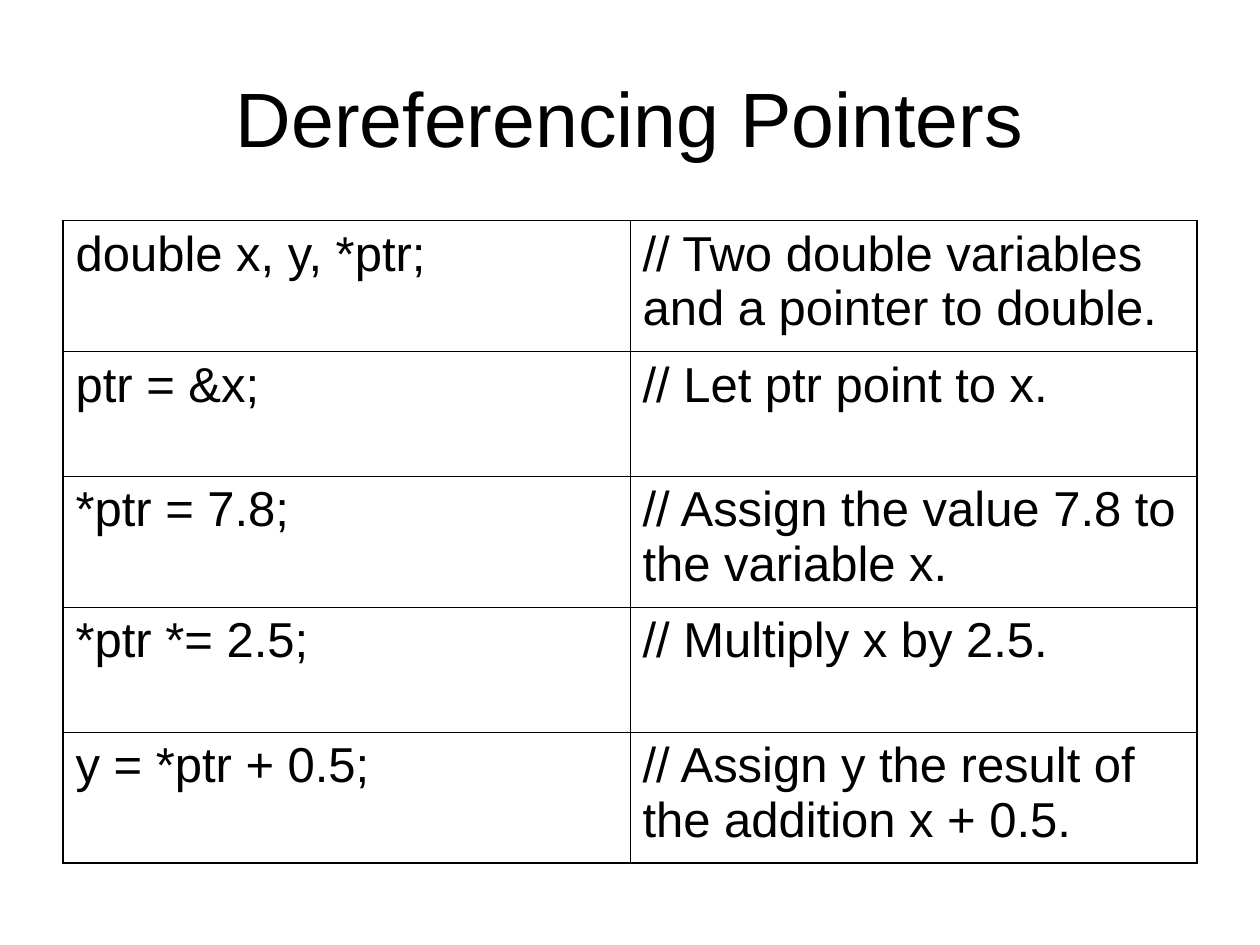
from dataclasses import dataclass

from lxml.etree import SubElement
from pptx import Presentation
from pptx.dml.color import RGBColor
from pptx.enum.text import MSO_ANCHOR, PP_ALIGN
from pptx.oxml.ns import qn
from pptx.util import Pt

SCALE = 9144  # EMU in one px, at 100 px to the inch


def px(*sizes):
    return [size * SCALE for size in sizes]


@dataclass(frozen=True)
class Theme:
    font: str = "Arial"
    ink: str = "000000"
    paper: str = "FFFFFF"
    title: int = 44
    body: int = 28
    gap: int = 7
    thin: float = 0.45
    thick: float = 1.08


class Deck:
    def __init__(self, theme, width, height):
        self.theme = theme
        self.file = Presentation()
        self.file.slide_width, self.file.slide_height = px(width, height)
        self.slide = self.file.slides.add_slide(self.file.slide_layouts[5])
        fill = self.slide.background.fill
        fill.solid()
        fill.fore_color.rgb = RGBColor.from_string(theme.paper)

    def add_text(self, para, text, size):
        run = para.add_run()
        run.text = text
        run.font.name = self.theme.font
        run.font.size = Pt(size)
        run.font.bold = False
        run.font.color.rgb = RGBColor.from_string(self.theme.ink)

    def title(self, text, *box):
        shape = self.slide.shapes.title
        shape.left, shape.top, shape.width, shape.height = px(*box)
        frame = shape.text_frame
        frame.word_wrap = True
        frame.vertical_anchor = MSO_ANCHOR.MIDDLE
        para = frame.paragraphs[0]
        para.alignment = PP_ALIGN.CENTER
        self.add_text(para, text, self.theme.title)

    def border(self, cell, side, width):
        props = cell._tc.get_or_add_tcPr()
        line = SubElement(props, qn(f"a:ln{side}"), w=str(Pt(width)))
        fill = SubElement(line, qn("a:solidFill"))
        SubElement(fill, qn("a:srgbClr"), val=self.theme.ink)

    def cell(self, cell, text, edges):
        """Fill one cell; edges names the sides on the table's outer frame."""
        cell.margin_left, cell.margin_right = px(10, 10)
        cell.margin_top, cell.margin_bottom = px(5, 5)
        cell.vertical_anchor = MSO_ANCHOR.TOP
        for side in "LRTB":
            thick = side in edges
            self.border(cell, side, self.theme.thick if thick else self.theme.thin)
        cell.fill.background()
        para = cell.text_frame.paragraphs[0]
        para.space_before = Pt(self.theme.gap)
        self.add_text(para, text, self.theme.body)

    def table(self, rows, left, top, widths, heights):
        box = px(left, top, sum(widths), sum(heights))
        table = self.slide.shapes.add_table(len(rows), len(widths), *box).table
        table.first_row = table.horz_banding = False
        for col, width in zip(table.columns, px(*widths)):
            col.width = width
        for row, height in zip(table.rows, px(*heights)):
            row.height = height
        for r, texts in enumerate(rows):
            for c, text in enumerate(texts):
                outer = {"L": c == 0, "R": c == len(widths) - 1,
                         "T": r == 0, "B": r == len(rows) - 1}
                edges = [side for side, on in outer.items() if on]
                self.cell(table.cell(r, c), text, edges)


CODE = [
    ("double x, y, *ptr;", "// Two double variables and a pointer to double."),
    ("ptr = &x;", "// Let ptr point to x."),
    ("*ptr = 7.8;", "// Assign the value 7.8 to the variable x."),
    ("*ptr *= 2.5;", "// Multiply x by 2.5."),
    ("y = *ptr + 0.5;", "// Assign y the result of the addition x + 0.5."),
]


def main():
    deck = Deck(Theme(), 1000, 750)
    deck.title("Dereferencing Pointers", 50, 30, 900, 125)
    heights = [99 if r % 2 else 104 for r in range(len(CODE))]
    deck.table(CODE, 50, 175, [450, 450], heights)
    deck.file.save("out.pptx")


if __name__ == "__main__":
    main()
